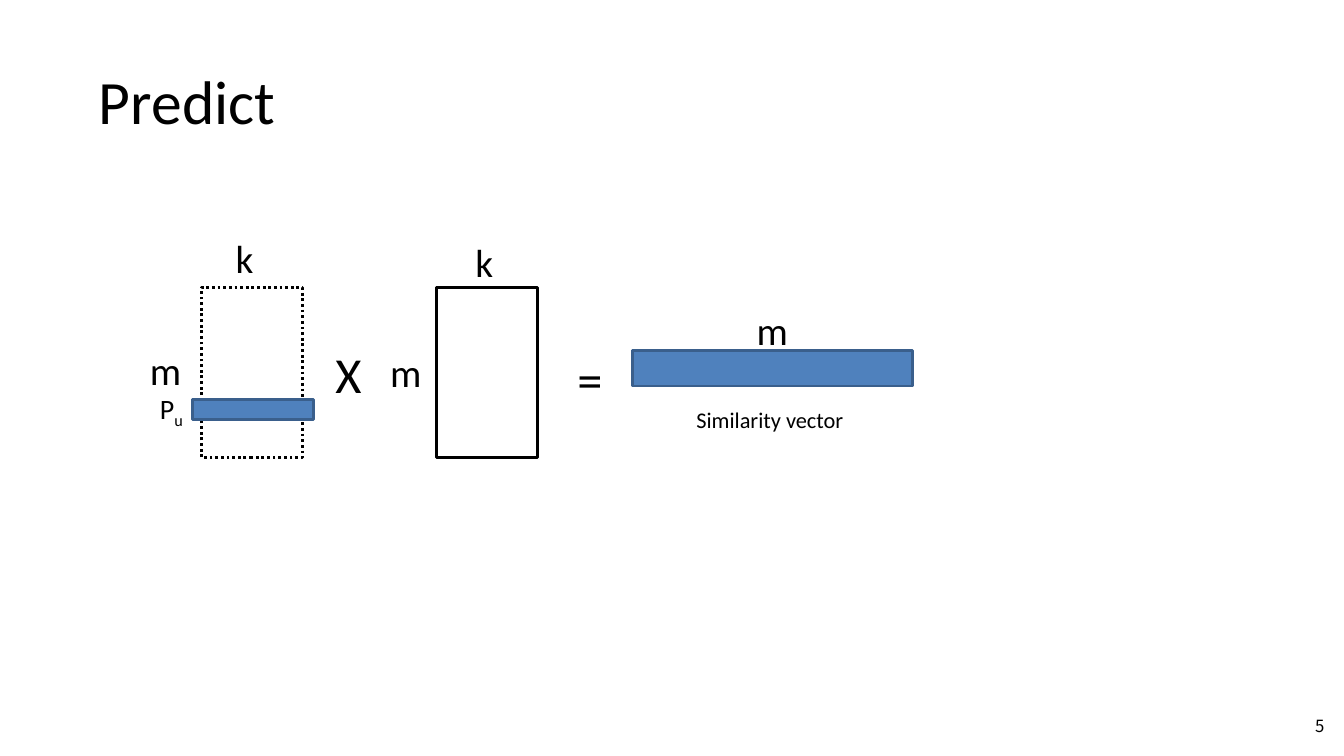
import pptx
import pptx.dml.color
import pptx.enum.dml
import pptx.enum.shapes
import pptx.enum.text
import pptx.util

Cm = pptx.util.Cm
Align = pptx.enum.text.PP_ALIGN
Anchor = pptx.enum.text.MSO_ANCHOR

COLORS = {"text": "000000", "outline": "000000", "vector": "4F81BD", "vector_edge": "3A5F8C"}
FONT = "Calibri"
NUMBER_FONT = "Noto Sans CJK SC"
MATRIX_TOP, MATRIX_WIDTH, MATRIX_HEIGHT = 7.24, 2.54, 4.29
LABEL_WIDTH = 1.35


def rgb(name):
    return pptx.dml.color.RGBColor.from_string(COLORS[name])


def add_span(para, text, size, font=FONT, subscript=False):
    span = para.add_run()
    span.text = text
    span.font.size = pptx.util.Pt(size)
    span.font.name = font
    span.font.color.rgb = rgb("text")
    if subscript:
        span.font._element.set("baseline", "-25000")


def set_title(page, text):
    title = page.shapes.title
    title.left, title.top, title.width, title.height = Cm(2.24), Cm(1.45), Cm(22.63), Cm(2.13)
    frame = title.text_frame
    frame.auto_size = pptx.enum.text.MSO_AUTO_SIZE.NONE
    frame.vertical_anchor = Anchor.TOP
    para = frame.paragraphs[0]
    para.alignment = Align.LEFT
    add_span(para, text, 44)


def add_label(page, text, left, top, width, height, size,
              font=FONT, align=Align.LEFT, anchor=Anchor.TOP):
    box = page.shapes.add_textbox(Cm(left), Cm(top), Cm(width), Cm(height))
    frame = box.text_frame
    frame.word_wrap = True
    frame.vertical_anchor = anchor
    para = frame.paragraphs[0]
    para.alignment = align
    add_span(para, text, size, font)
    return para


def add_dimension(page, text, left, top):
    add_label(page, text, left, top, LABEL_WIDTH, 1.45, 28)


def add_block(page, left, top, width, height, edge, fill=None, dash=None):
    block = page.shapes.add_shape(pptx.enum.shapes.MSO_SHAPE.RECTANGLE,
                                  Cm(left), Cm(top), Cm(width), Cm(height))
    block.shadow.inherit = False
    if fill:
        block.fill.solid()
        block.fill.fore_color.rgb = rgb(fill)
    else:
        block.fill.background()
    block.line.color.rgb = rgb(edge)
    block.line.width = pptx.util.Pt(2)
    if dash:
        block.line.dash_style = dash


def add_matrix(page, left, dash=None):
    add_block(page, left, MATRIX_TOP, MATRIX_WIDTH, MATRIX_HEIGHT, "outline", dash=dash)


def add_vector(page, left, top, width, height):
    add_block(page, left, top, width, height, "vector_edge", fill="vector")


def main():
    deck = pptx.Presentation()
    deck.slide_width, deck.slide_height = Cm(33.87), Cm(19.05)
    page = deck.slides.add_slide(deck.slide_layouts[5])
    set_title(page, "Predict")

    # User matrix with the selected row
    add_matrix(page, 5.08, pptx.enum.dml.MSO_LINE.ROUND_DOT)
    add_dimension(page, "m", 3.53, 8.59)
    add_dimension(page, "k", 5.69, 5.77)
    add_vector(page, 4.85, 10.06, 3.05, 0.51)
    row_name = add_label(page, "P", 3.78, 9.73, LABEL_WIDTH, 1.12, 20)
    add_span(row_name, "u", 20, subscript=True)

    # Second matrix
    add_label(page, "X", 8.2, 8.51, 2.9, 1.8, 36)
    add_matrix(page, 11)
    add_dimension(page, "m", 9.58, 8.66)
    add_dimension(page, "k", 11.73, 5.89)

    # Resulting vector
    add_label(page, "=", 14.3, 8.66, LABEL_WIDTH, 1.8, 36)
    add_vector(page, 15.95, 8.84, 7.04, 0.89)
    add_dimension(page, "m", 18.82, 7.59)
    add_label(page, "Similarity vector", 17.3, 10.11, 5.13, 0.94, 16)

    # Page number
    add_label(page, "5", 26.01, 17.78, 7.62, 1.02, 12,
              NUMBER_FONT, Align.RIGHT, Anchor.MIDDLE)

    deck.save("out.pptx")


main()
